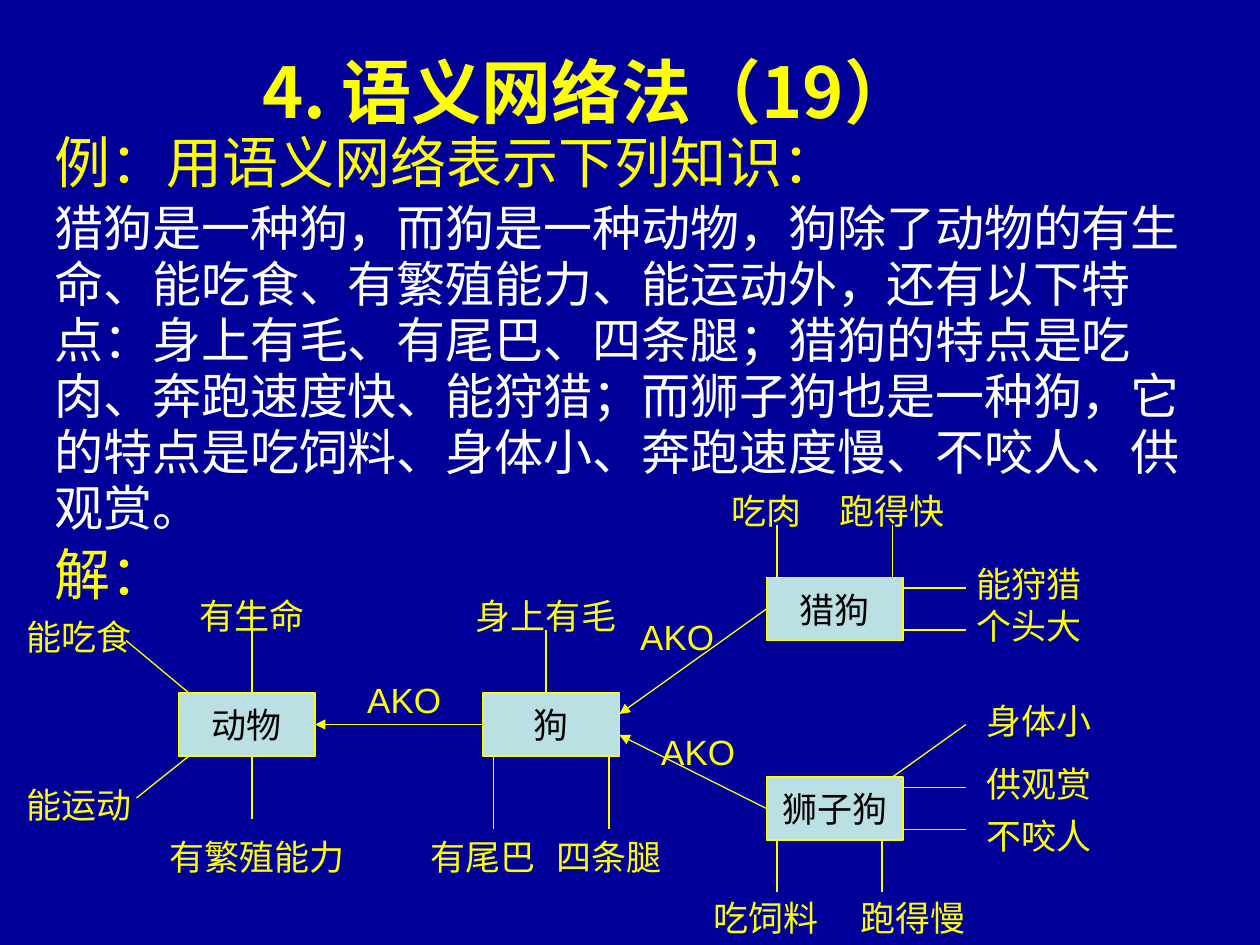
from lxml import etree
from pptx import Presentation
from pptx.dml.color import RGBColor
from pptx.enum.shapes import MSO_CONNECTOR, MSO_SHAPE
from pptx.enum.text import MSO_ANCHOR, MSO_AUTO_SIZE, PP_ALIGN
from pptx.oxml.ns import qn
from pptx.util import Pt

PX = 7620  # EMU per px, 120 px to the inch
NAVY = RGBColor(0x00, 0x00, 0x99)
YELLOW = RGBColor(0xFF, 0xFF, 0x00)
WHITE = RGBColor(0xFF, 0xFF, 0xFF)
BLACK = RGBColor(0x00, 0x00, 0x00)
PALE_BLUE = RGBColor(0xBB, 0xE0, 0xE3)
LATIN, CHINESE = "Arial", "Noto Sans CJK SC"
CENTER, LEFT = PP_ALIGN.CENTER, PP_ALIGN.LEFT
TOP, MIDDLE = MSO_ANCHOR.TOP, MSO_ANCHOR.MIDDLE
STRAIGHT, RECTANGLE = MSO_CONNECTOR.STRAIGHT, MSO_SHAPE.RECTANGLE
GROW = MSO_AUTO_SIZE.SHAPE_TO_FIT_TEXT
LEFT_SIDE, RIGHT_SIDE = 1, 3

TITLE = "4. 语义网络法（19）"
# text, size, colour, space before
BODY = [
    ("例：用语义网络表示下列知识：", 32, YELLOW, 0),
    ("猎狗是一种狗，而狗是一种动物，狗除了动物的有生命、能吃食、有繁殖能力、"
     "能运动外，还有以下特点：身上有毛、有尾巴、四条腿；猎狗的特点是吃肉、"
     "奔跑速度快、能狩猎；而狮子狗也是一种狗，它的特点是吃饲料、身体小、"
     "奔跑速度慢、不咬人、供观赏。", 28, WHITE, 3.5),
    ("解：", 32, YELLOW, 4),
]

NODE_WIDTH, NODE_HEIGHT, LABEL_HEIGHT = 130, 60, 53
NODES = {"动物": (170, 660), "狗": (460, 660), "猎狗": (730, 550), "狮子狗": (730, 740)}
# trait, (left, top, width) of its label, line from the node outwards
TRAITS = [
    ("有生命", (160, 560, 160), (240, 660, 240, 600)),
    ("有繁殖能力", (140, 790, 210), (240, 720, 240, 780)),
    ("能吃食", (-30, 580, 210), (180, 660, 120, 610)),
    ("能运动", (-30, 740, 210), (180, 720, 130, 760)),
    ("身上有毛", (440, 560, 160), (520, 660, 520, 600)),
    ("有尾巴", (380, 790, 160), (470, 720, 470, 790)),
    ("四条腿", (500, 790, 160), (580, 720, 580, 790)),
    ("吃肉", (660, 460, 140), (740, 550, 740, 500)),
    ("跑得快", (770, 460, 160), (850, 550, 850, 500)),
    ("能狩猎", (900, 530, 160), (860, 560, 920, 560)),
    ("个头大", (900, 570, 160), (860, 600, 920, 600)),
    ("身体小", (910, 660, 160), (850, 740, 920, 690)),
    ("供观赏", (910, 720, 160), (860, 750, 920, 750)),
    ("不咬人", (910, 770, 160), (860, 790, 920, 790)),
    ("吃饲料", (650, 848, 160), (740, 800, 740, 850)),
    ("跑得慢", (790, 848, 160), (840, 800, 840, 850)),
]
# child, parent, arrow line, label position; a level arrow meets the parent's side middle
RELATIONS = [
    ("狗", "动物", (460, 690, 300, 690), (330, 640, 110)),
    ("猎狗", "狗", (730, 580, 590, 680), (590, 580, 110)),
    ("狮子狗", "狗", (730, 770, 590, 700), (610, 690, 110)),
]


def scaled(*lengths):
    return [length * PX for length in lengths]


def style(para, size, color, latin=LATIN, align=CENTER, bold=False):
    para.alignment = align
    font = para.font
    font.size, font.name, font.bold = Pt(size), latin, bold
    font.color.rgb = color
    properties = para._p.pPr
    properties.set("hangingPunct", "0")
    etree.SubElement(properties.find(qn("a:defRPr")), qn("a:ea"), typeface=CHINESE)


def add_label(slide, text, left, top, width):
    box = slide.shapes.add_textbox(*scaled(left, top, width, LABEL_HEIGHT))
    frame = box.text_frame
    frame.word_wrap, frame.auto_size = True, GROW
    frame.text = text
    style(frame.paragraphs[0], 20, YELLOW)


def add_node(slide, text, left, top):
    node = slide.shapes.add_shape(RECTANGLE, *scaled(left, top, NODE_WIDTH, NODE_HEIGHT))
    node.shadow.inherit = False
    node.fill.solid()
    node.fill.fore_color.rgb = PALE_BLUE
    node.line.color.rgb, node.line.width = YELLOW, Pt(0.75)
    frame = node.text_frame
    frame.word_wrap, frame.vertical_anchor = False, MIDDLE
    frame.text = text
    style(frame.paragraphs[0], 20, BLACK)
    return node


def add_line(slide, ends, arrow=False):
    line = slide.shapes.add_connector(STRAIGHT, *scaled(*ends))
    line.line.color.rgb, line.line.width = YELLOW, Pt(0.75)
    if arrow:
        etree.SubElement(line.line._get_or_add_ln(), qn("a:tailEnd"), type="triangle")
    etree.SubElement(line._element.spPr, qn("a:effectLst"))
    return line


def add_title(slide):
    title = slide.shapes.title
    title.left, title.top, title.width, title.height = scaled(70, 40, 980, 92)
    frame = title.text_frame
    frame.word_wrap, frame.vertical_anchor, frame.auto_size = True, TOP, GROW
    frame.text = TITLE
    style(frame.paragraphs[0], 40, YELLOW, CHINESE, bold=True)


def add_body(slide):
    frame = slide.shapes.add_textbox(*scaled(40, 120, 1100, 413)).text_frame
    frame.word_wrap, frame.auto_size = True, GROW
    for index, (text, size, color, before) in enumerate(BODY):
        para = frame.add_paragraph() if index else frame.paragraphs[0]
        para.text = text
        para.line_spacing, para.space_before = 0.95, Pt(before)
        style(para, size, color, CHINESE, LEFT)


def main():
    deck = Presentation()
    deck.slide_width, deck.slide_height = scaled(1200, 900)
    slide = deck.slides.add_slide(deck.slide_layouts[5])
    slide.background.fill.solid()
    slide.background.fill.fore_color.rgb = NAVY
    add_title(slide)
    add_body(slide)
    nodes = {name: add_node(slide, name, *place) for name, place in NODES.items()}
    for child, parent, ends, place in RELATIONS:
        arrow = add_line(slide, ends, arrow=True)
        arrow.begin_connect(nodes[child], LEFT_SIDE)
        if ends[1] == ends[3]:
            arrow.end_connect(nodes[parent], RIGHT_SIDE)
        add_label(slide, "AKO", *place)
    for trait, place, ends in TRAITS:
        add_line(slide, ends)
        add_label(slide, trait, *place)
    deck.save("out.pptx")


if __name__ == "__main__":
    main()
